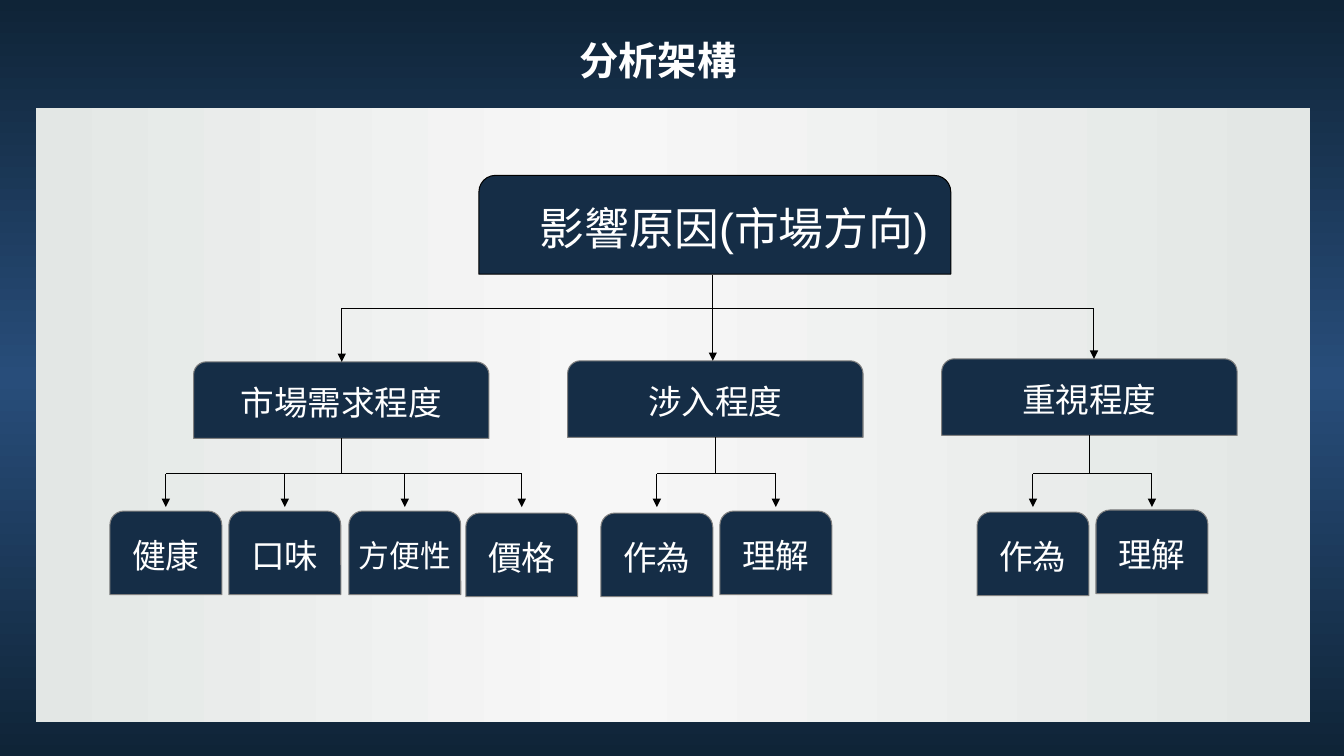
"""Build the analysis framework slide: one cause, three branches and their factors."""
from pptx import Presentation
from pptx.dml.color import RGBColor
from pptx.enum.shapes import MSO_CONNECTOR, MSO_SHAPE
from pptx.enum.text import MSO_ANCHOR, PP_ALIGN
from pptx.oxml.ns import qn
from pptx.util import Inches, Pt
from lxml import etree

STRAIGHT = MSO_CONNECTOR.STRAIGHT
RECTANGLE = MSO_SHAPE.RECTANGLE
TAB = MSO_SHAPE.ROUND_2_SAME_RECTANGLE
MIDDLE = MSO_ANCHOR.MIDDLE
CENTER = PP_ALIGN.CENTER

NIGHT = RGBColor(0x0F, 0x24, 0x37)
BLUE = RGBColor(0x28, 0x4D, 0x7A)
NAVY = RGBColor(0x15, 0x2D, 0x46)
MIST = RGBColor(0xE3, 0xE7, 0xE5)
PALE = RGBColor(0xF7, 0xF7, 0xF7)
GRAY = RGBColor(0x80, 0x80, 0x80)
BLACK = RGBColor(0, 0, 0)
WHITE = RGBColor(0xFF, 0xFF, 0xFF)

FONT = "Arial"
BRANCH_WIDTH, BRANCH_HEIGHT = 2.93, 0.76
FACTOR_WIDTH, FACTOR_HEIGHT = 1.11, 0.83
BRANCH_BAR, FACTOR_BAR = 3.06, 4.7
ARROW_END = 5.03

# Each branch: label, left, top, arrow x, then factors as label, left, top, size.
BRANCHES = [
    ("市場需求程度", 1.92, 3.59, 3.39, [
        ("健康", 1.09, 5.07, 24), ("口味", 2.27, 5.07, 24),
        ("方便性", 3.46, 5.07, 22), ("價格", 4.62, 5.09, 24)]),
    ("涉入程度", 5.63, 3.58, 7.07, [
        ("作為", 5.96, 5.09, 24), ("理解", 7.14, 5.07, 24)]),
    ("重視程度", 9.34, 3.56, 10.85, [
        ("作為", 9.69, 5.08, 24), ("理解", 10.87, 5.06, 24)]),
]

deck = Presentation()
deck.slide_width, deck.slide_height = Inches(13.33), Inches(7.5)
slide = deck.slides.add_slide(deck.slide_layouts[5])

panel = slide.shapes.add_shape(
    RECTANGLE, Inches(0.36), Inches(1.07), Inches(12.63), Inches(6.09))
panel.shadow.inherit = False
panel.line.fill.background()

gradients = [
    (slide.background.fill, slide.element, 90, [(0, NIGHT), (50, BLUE), (100, NIGHT)]),
    (panel.fill, panel.element, 0, [(0, MIST), (44, PALE), (99, MIST), (100, MIST)]),
]
for fill, element, angle, stops in gradients:
    fill.gradient()
    fill.gradient_angle = angle
    stop_list = next(element.iter(qn("a:gsLst")))
    for old_stop in list(stop_list):
        stop_list.remove(old_stop)
    for percent, color in stops:
        stop = etree.SubElement(stop_list, qn("a:gs"), pos=str(percent * 1000))
        etree.SubElement(stop, qn("a:srgbClr"), val=str(color))

title = slide.shapes.title
title.left, title.top = Inches(4.11), Inches(0.26)
title.width, title.height = Inches(4.83), Inches(0.67)
title.text_frame.text = "分析架構"
title.text_frame.vertical_anchor = MIDDLE
title.text_frame.word_wrap = False
heading = title.text_frame.paragraphs[0]
heading.alignment = CENTER
heading.font.name, heading.font.size, heading.font.bold = FONT, Pt(28), True
heading.font.color.rgb = WHITE


def add_box(label, left, top, width, height, size, border=GRAY, indent=0):
    box = slide.shapes.add_shape(
        TAB, Inches(left), Inches(top), Inches(width), Inches(height))
    box.shadow.inherit = False
    box.fill.solid()
    box.fill.fore_color.rgb = NAVY
    box.line.color.rgb = border
    box.line.width = Pt(0.75)
    frame = box.text_frame
    frame.text = label
    frame.word_wrap = False
    frame.vertical_anchor = MIDDLE
    frame.margin_left, frame.margin_right = Inches(indent), 0
    para = frame.paragraphs[0]
    para.alignment = CENTER
    para.font.name, para.font.size = FONT, Pt(size)
    para.font.color.rgb = WHITE


def add_line(x1, y1, x2, y2, arrow=False):
    line = slide.shapes.add_connector(
        STRAIGHT, Inches(x1), Inches(y1), Inches(x2), Inches(y2))
    line.line.color.rgb = BLACK
    line.line.width = Pt(0.75)
    properties = line.element.spPr
    if arrow:
        etree.SubElement(properties.find(qn("a:ln")), qn("a:tailEnd"), type="triangle")
    etree.SubElement(properties, qn("a:effectLst"))


add_box("影響原因(市場方向)", 4.75, 1.74, 4.68, 0.98, 32, BLACK, 0.38)
add_line(7.07, 2.73, 7.07, BRANCH_BAR)
add_line(BRANCHES[0][3], BRANCH_BAR, BRANCHES[-1][3], BRANCH_BAR)

for label, left, top, arrow_x, factors in BRANCHES:
    add_box(label, left, top, BRANCH_WIDTH, BRANCH_HEIGHT, 24)
    add_line(arrow_x, BRANCH_BAR, arrow_x, top, arrow=True)
    stem_x = left + BRANCH_WIDTH / 2
    add_line(stem_x, top + BRANCH_HEIGHT, stem_x, FACTOR_BAR)
    centers = [factor[1] + FACTOR_WIDTH / 2 for factor in factors]
    add_line(centers[0], FACTOR_BAR, centers[-1], FACTOR_BAR)
    for center, (name, factor_left, factor_top, size) in zip(centers, factors):
        add_box(name, factor_left, factor_top, FACTOR_WIDTH, FACTOR_HEIGHT, size)
        add_line(center, FACTOR_BAR, center, ARROW_END, arrow=True)

deck.save("out.pptx")
